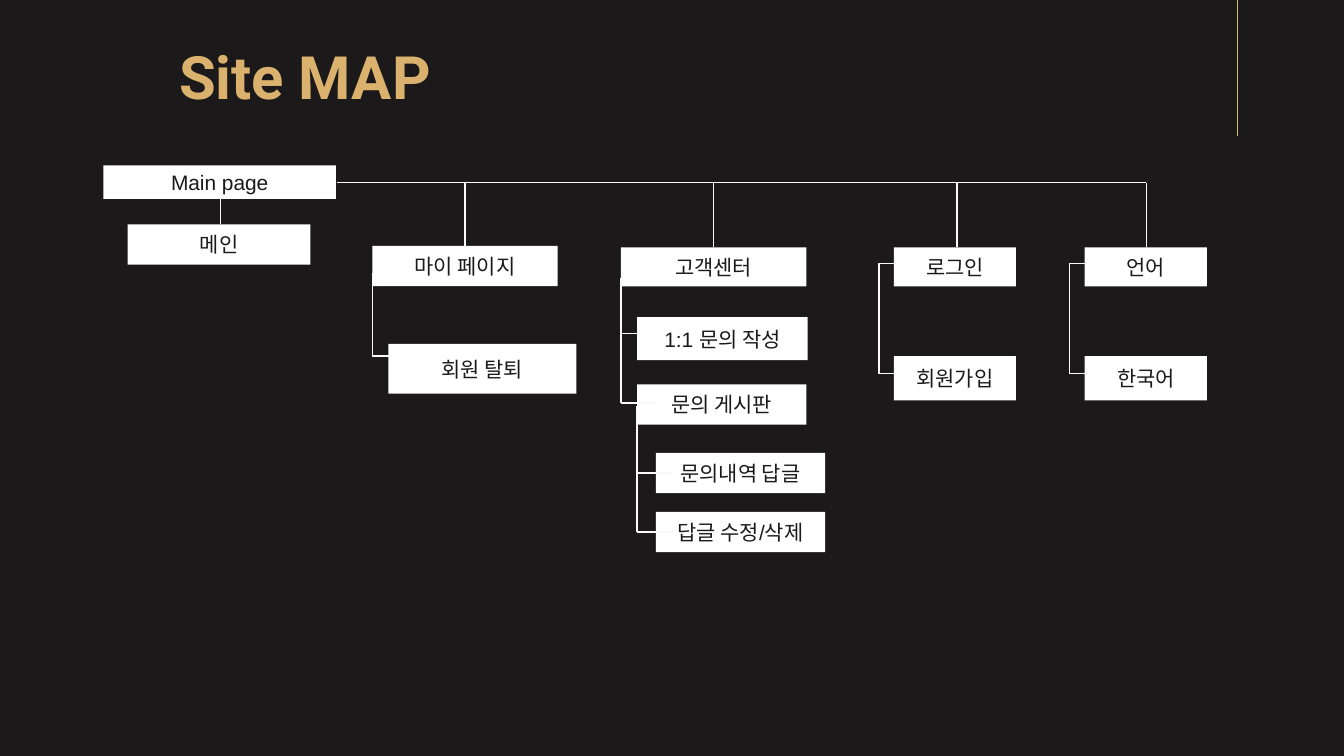
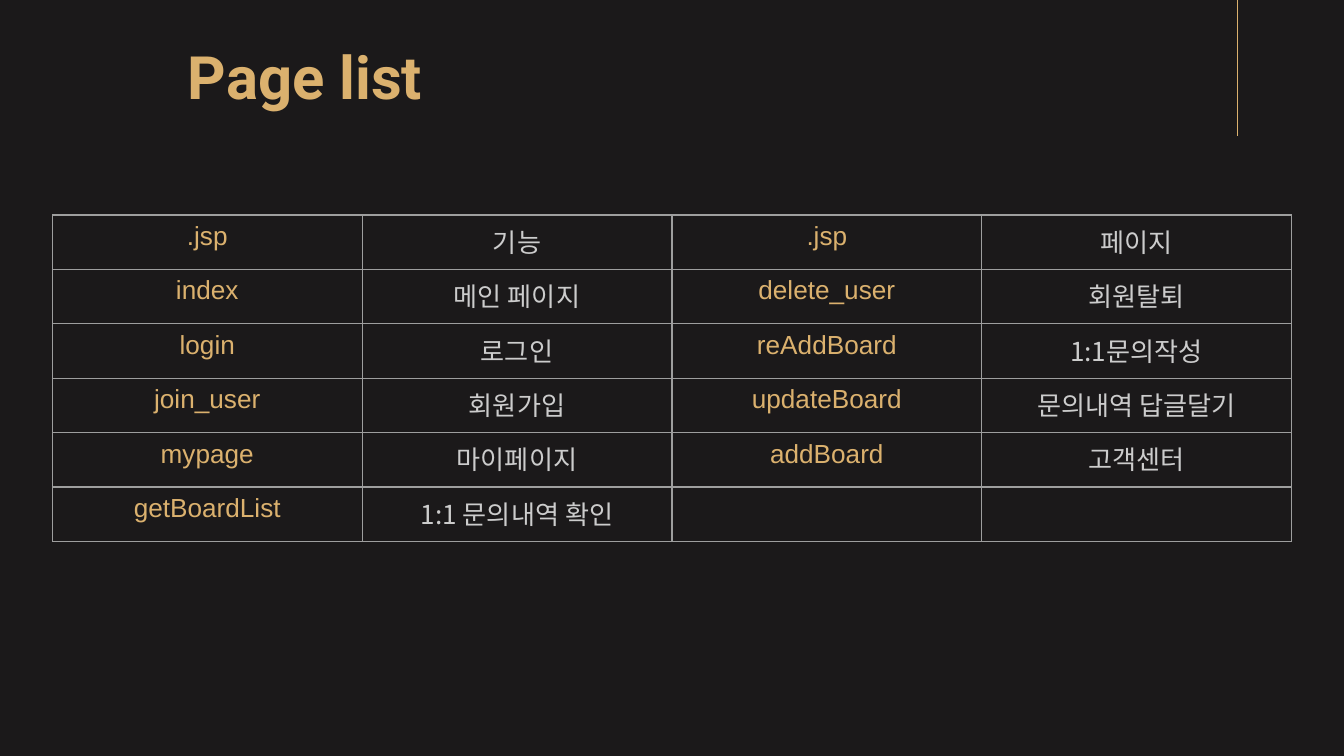
from lxml import etree
from pptx import Presentation
from pptx.dml.color import RGBColor
from pptx.enum import shapes, text
from pptx.oxml import ns
from pptx.util import Inches, Pt

BACKGROUND, GOLD, WHITE = "1B191A", "DBB16E", "FFFFFF"
CONNECTOR, BORDER, GREY = "F9F9F9", "9E9E9E", "CCCCCC"
LATIN, KOREAN, HEADING = "Arial", "Noto Sans CJK KR", "Roboto"
LINE_WIDTH = 0.75

PAGE_BOXES = [
    ("Main page", 0.77, 1.23, 1.73, 0.25),
    ("메인", 0.95, 1.67, 1.36, 0.3),
    ("마이 페이지", 2.77, 1.83, 1.38, 0.3),
    ("회원 탈퇴", 2.89, 2.56, 1.4, 0.37),
    ("고객센터", 4.62, 1.84, 1.38, 0.29),
    ("1:1 문의 작성", 4.74, 2.36, 1.27, 0.32),
    ("문의 게시판", 4.74, 2.86, 1.26, 0.3),
    ("문의내역 답글", 4.88, 3.37, 1.26, 0.3),
    ("답글 수정/삭제", 4.88, 3.81, 1.26, 0.3),
    ("로그인", 6.65, 1.84, 0.91, 0.29),
    ("회원가입", 6.65, 2.65, 0.91, 0.33),
    ("언어", 8.07, 1.84, 0.91, 0.29),
    ("한국어", 8.07, 2.65, 0.91, 0.33),
]
TRUNK_Y, TRUNK_LEFT, BRANCH_BOTTOM = 1.36, 2.51, 1.84
BRANCHES = [3.46, 5.31, 7.12, 8.53]
BRACKETS = [
    (2.77, 2.03, [(2.92, 2.65)]),
    (4.62, 2.07, [(4.77, 2.48), (4.89, 3.0)]),
    (4.74, 3.02, [(5.0, 3.52), (5.01, 3.96)]),
    (6.54, 1.96, [(6.69, 1.96), (6.69, 2.78)]),
    (7.96, 1.96, [(8.12, 1.96), (8.12, 2.78)]),
]

PAGE_TABLES = [
    [
        (".jsp", "기능"),
        ("index", "메인 페이지"),
        ("login", "로그인"),
        ("join_user", "회원가입"),
        ("mypage", "마이페이지"),
        ("getBoardList", "1:1 문의내역 확인"),
    ],
    [
        (".jsp", "페이지"),
        ("delete_user", "회원탈퇴"),
        ("reAddBoard", "1:1문의작성"),
        ("updateBoard", "문의내역 답글달기"),
        ("addBoard", "고객센터"),
        ("", ""),
    ],
]
TABLE_LEFT, TABLE_TOP, TABLE_WIDTH, TABLE_HEIGHT = 0.39, 1.6, 4.61, 2.43


def color(value):
    return RGBColor.from_string(value)


def write(frame, content, size, font, value, bold=False):
    paragraph = frame.paragraphs[0]
    paragraph.alignment = text.PP_ALIGN.CENTER
    paragraph.font.size = Pt(size)
    if not content:
        return
    run = paragraph.add_run()
    run.text = content
    run.font.size = Pt(size)
    run.font.name = font
    run.font.bold = bold
    run.font.color.rgb = color(value)
    east_asian = etree.SubElement(run.font._element, ns.qn("a:ea"))
    east_asian.set("typeface", KOREAN)


def set_margins(frame, horizontal, vertical):
    frame.margin_left = frame.margin_right = Inches(horizontal)
    frame.margin_top = frame.margin_bottom = Inches(vertical)


def add_line(slide, start, end, value=CONNECTOR):
    points = [Inches(number) for number in (*start, *end)]
    line = slide.shapes.add_connector(shapes.MSO_CONNECTOR.STRAIGHT, *points)
    line.line.color.rgb = color(value)
    line.line.width = Pt(LINE_WIDTH)
    etree.SubElement(line._element.spPr, ns.qn("a:effectLst"))


def add_titled_slide(presentation, heading):
    slide = presentation.slides.add_slide(presentation.slide_layouts[5])
    title = slide.shapes.title
    title.left, title.top = Inches(1.07), Inches(0.11)
    title.width, title.height = Inches(2.4), Inches(0.9)
    frame = title.text_frame
    frame.word_wrap = True
    frame.auto_size = text.MSO_AUTO_SIZE.NONE
    frame.vertical_anchor = text.MSO_ANCHOR.MIDDLE
    set_margins(frame, 0.1, 0.1)
    write(frame, heading, 32, HEADING, GOLD, True)
    add_line(slide, (9.21, 1.01), (9.21, -0.08), GOLD)
    return slide


def add_page_box(slide, label, *bounds):
    box = slide.shapes.add_shape(
        shapes.MSO_SHAPE.RECTANGLE, *[Inches(number) for number in bounds]
    )
    box.shadow.inherit = False
    box.fill.solid()
    box.fill.fore_color.rgb = color(WHITE)
    box.line.fill.background()
    frame = box.text_frame
    frame.word_wrap = True
    frame.vertical_anchor = text.MSO_ANCHOR.MIDDLE
    set_margins(frame, 0.07, 0.04)
    write(frame, label, 11.2, LATIN, BACKGROUND)


def add_borders(cell):
    properties = cell._tc.get_or_add_tcPr()
    for side in ("lnL", "lnR", "lnT", "lnB"):
        border = etree.SubElement(properties, ns.qn(f"a:{side}"), w=str(Pt(LINE_WIDTH)))
        fill = etree.SubElement(border, ns.qn("a:solidFill"))
        etree.SubElement(fill, ns.qn("a:srgbClr"), val=BORDER)


def add_page_table(slide, rows, left):
    bounds = [Inches(number) for number in (left, TABLE_TOP, TABLE_WIDTH, TABLE_HEIGHT)]
    table = slide.shapes.add_table(len(rows), len(rows[0]), *bounds).table
    table.first_row = table.horz_banding = False
    styles = [(LATIN, GOLD), (KOREAN, GREY)]
    for row_index, row in enumerate(rows):
        for column, (content, style) in enumerate(zip(row, styles)):
            cell = table.cell(row_index, column)
            add_borders(cell)
            cell.fill.background()
            set_margins(cell, 0.1, 0.05)
            write(cell.text_frame, content, 14, *style)


def build_site_map(presentation):
    slide = add_titled_slide(presentation, "Site MAP")
    for box in PAGE_BOXES:
        add_page_box(slide, *box)
    add_line(slide, (1.64, 1.67), (1.64, 1.48))
    add_line(slide, (TRUNK_LEFT, TRUNK_Y), (BRANCHES[-1], TRUNK_Y))
    for x in BRANCHES:
        add_line(slide, (x, BRANCH_BOTTOM), (x, TRUNK_Y))
    for x, top, ends in BRACKETS:
        add_line(slide, (x, top), (x, ends[-1][1]))
        for right, y in ends:
            add_line(slide, (right, y), (x, y))


def build_page_list(presentation):
    slide = add_titled_slide(presentation, "Page list")
    for index, rows in enumerate(PAGE_TABLES):
        add_page_table(slide, rows, TABLE_LEFT + index * TABLE_WIDTH)


def main():
    presentation = Presentation()
    presentation.slide_width = Inches(10)
    presentation.slide_height = presentation.slide_width * 9 // 16
    background = presentation.slide_master.background.fill
    background.solid()
    background.fore_color.rgb = color(BACKGROUND)
    build_site_map(presentation)
    build_page_list(presentation)
    presentation.save("out.pptx")


if __name__ == "__main__":
    main()
